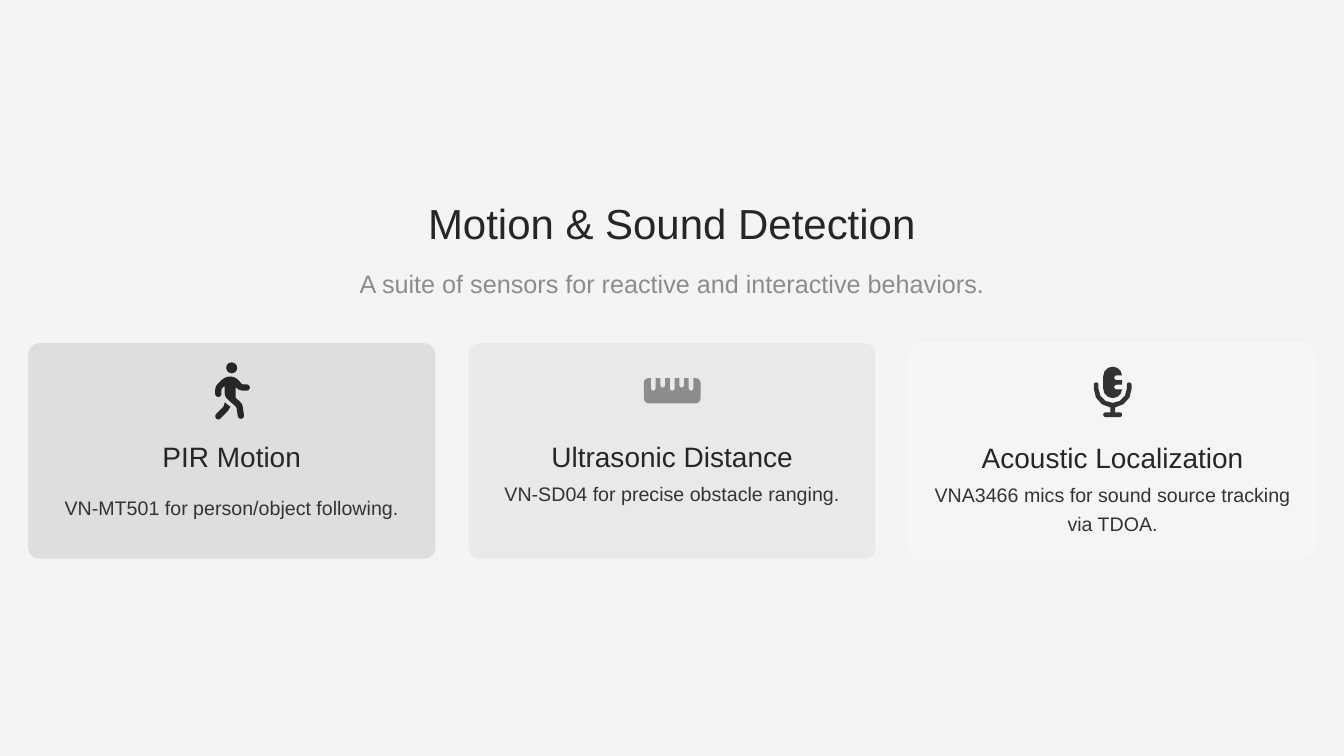
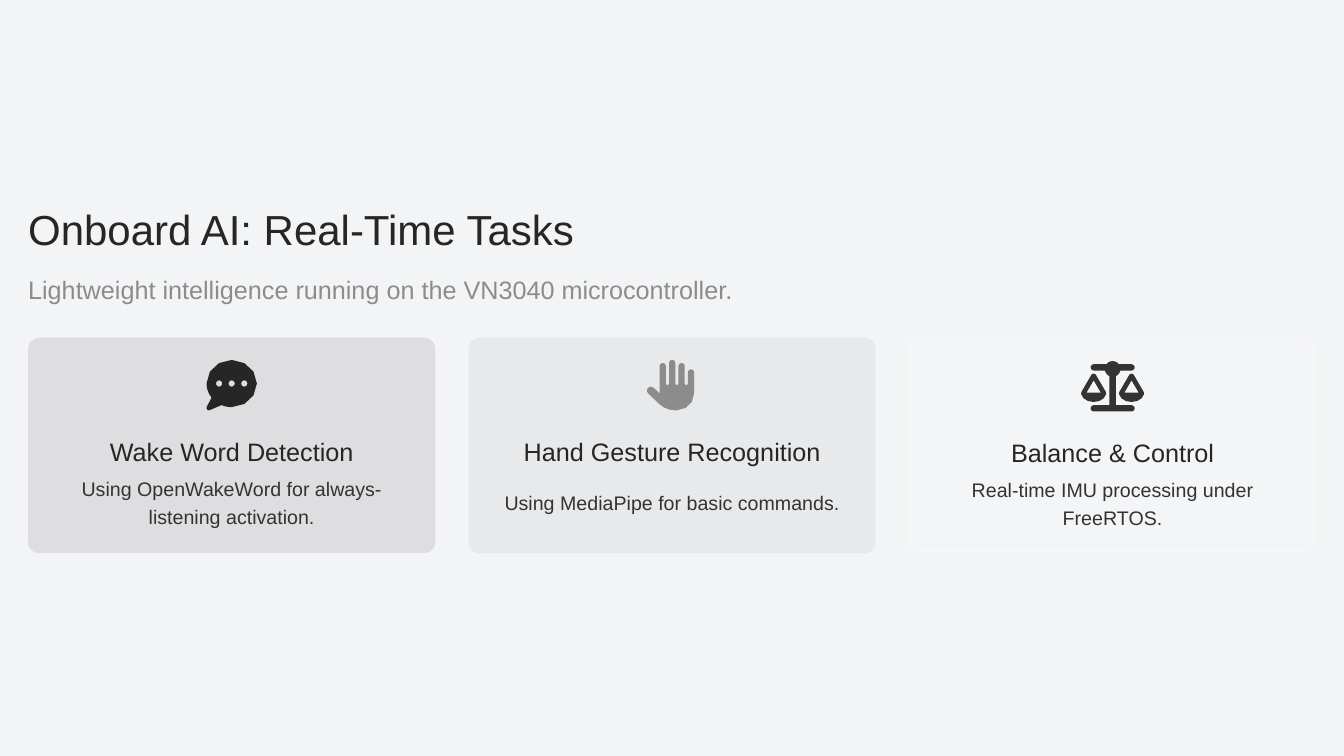
from dataclasses import dataclass

from lxml import etree
from pptx import Presentation
from pptx.dml.color import RGBColor
from pptx.enum import shapes, text
from pptx.oxml import ns
from pptx.util import Cm, Pt

# Shared style
FONT = "Arial"
PAPER = RGBColor(0xF3, 0xF4, 0xF6)
INK = RGBColor(0x26, 0x26, 0x26)
GREY = RGBColor(0x8C, 0x8C, 0x8C)
BODY = RGBColor(0x33, 0x33, 0x33)
WHITE = RGBColor(0xFF, 0xFF, 0xFF)

SLIDE_W, SLIDE_H = Cm(33.87), Cm(19.05)
MARGIN = Cm(0.71)
CARD_W, CARD_H, CARD_PITCH = Cm(10.26), Cm(5.43), Cm(11.1)
CARD_RADIUS = Cm(0.28)
ICON_H, ICON_UNITS = Cm(1.27), 512

# Icon outlines on a 512-unit grid: M/L/C absolute, l/c/s relative,
# O is a circle given by its centre and radius
RULER_SLOTS = " ".join(
    f"L {x - 24} 128 l 0 {depth} c 0 13.3 10.7 24 24 24 s 24 -10.7 24 -24 l 0 -{depth}"
    for x, depth in zip(range(96, 481, 96), (104, 72, 104, 72, 104)))


def scale_pan(center):
    """Outline of one hanging pan of the balance."""
    return (f"M {center} 416 c -62.9 0 -115.2 -34 -126 -78.9 -2.6 -11 1 -22.3 6.7 -32.1"
            " l 95.2 -163.2 c 5 -8.6 14.2 -13.8 24.1 -13.8 s 19.1 5.3 24.1 13.8"
            " l 95.2 163.2 c 5.7 9.8 9.3 21.1 6.7 32.1 -10.8 44.8 -63.1 78.9 -126 78.9 z"
            f" M {center} 195.8 l -72.4 124.2 144.9 0 z")


WALKER = (
    "O 192 24 56 M 98 228 L 120 208 120 280 C 120 308 136 332 156 350"
    " L 228 412 C 234 418 240 426 242 434 L 254 514 C 257 532 273 544 290 542"
    " C 308 539 320 523 317 506 L 305 424 C 302 400 290 379 272 364"
    " L 232 330 232 218 242 229 C 260 248 285 256 312 256 L 344 256"
    " C 362 256 376 242 376 224 C 376 206 362 192 344 192 L 312 192"
    " C 302 192 293 188 288 182 L 272 162 C 248 130 213 112 176 112"
    " C 143 112 112 125 89 148 L 55 182 C 35 200 24 225 24 250 L 24 288"
    " C 24 306 38 320 56 320 C 74 320 88 306 88 288 L 88 250 C 88 242 92 234 98 228 z"
    " M 112 408 C 110 414 107 420 103 424 L 33 494 C 21 506 21 527 33 539"
    " C 46 552 66 552 78 539 L 148 467 C 158 457 166 445 171 431 L 180 420 130 382"
    " C 127 379 125 376 122 373 z")
RULER = ("M 48 384 c -26.5 0 -48 -21.5 -48 -48 l 0 -160 c 0 -26.5 21.5 -48 48 -48 "
         + RULER_SLOTS +
         " L 528 128 c 26.5 0 48 21.5 48 48 l 0 160 c 0 26.5 -21.5 48 -48 48 z")
MICROPHONE = (
    "M 96 96 c 0 -53 43 -96 96 -96 50.3 0 91.6 38.7 95.7 88 L 232 88"
    " c -13.3 0 -24 10.7 -24 24 s 10.7 24 24 24 l 56 0 0 48 -56 0"
    " c -13.3 0 -24 10.7 -24 24 s 10.7 24 24 24 l 55.7 0"
    " c -4.1 49.3 -45.3 88 -95.7 88 -53 0 -96 -43 -96 -96 z"
    " M 24 160 c 13.3 0 24 10.7 24 24 l 0 40 c 0 79.5 64.5 144 144 144"
    " s 144 -64.5 144 -144 l 0 -40 c 0 -13.3 10.7 -24 24 -24 s 24 10.7 24 24 l 0 40"
    " c 0 97.9 -73.3 178.7 -168 190.5 l 0 49.5 48 0 c 13.3 0 24 10.7 24 24"
    " s -10.7 24 -24 24 l -144 0 c -13.3 0 -24 -10.7 -24 -24 s 10.7 -24 24 -24"
    " l 48 0 0 -49.5 C 73.3 402.7 0 321.9 0 224 l 0 -40 c 0 -13.3 10.7 -24 24 -24 z")
SPEECH = (
    "M 256 480 c 141.4 0 256 -107.5 256 -240 S 397.4 0 256 0 C 114.6 0 0 107.5 0 240"
    " c 0 54.3 19.2 104.3 51.6 144.5 L 2.8 476.8 c -4.8 9 -3.3 20 3.6 27.5"
    " s 17.8 9.8 27.1 5.8 l 118.4 -50.7 C 183.7 472.6 218.9 480 256 480 z"
    " O 128 240 32 O 256 240 32 O 384 240 32")
HAND = (
    "M 288 32 c 0 -17.7 -14.3 -32 -32 -32 s -32 14.3 -32 32 l 0 208"
    " c 0 8.8 -7.2 16 -16 16 s -16 -7.2 -16 -16 l 0 -176"
    " c 0 -17.7 -14.3 -32 -32 -32 s -32 14.3 -32 32 l 0 276 L 67.6 283"
    " c -16 -15.2 -41.3 -14.6 -56.6 1.4 s -14.6 41.3 1.4 56.6 L 124.8 448"
    " c 43.1 41.1 100.4 64 160 64 l 19.2 0 c 97.2 0 176 -78.8 176 -176 l 0 -208"
    " c 0 -17.7 -14.3 -32 -32 -32 s -32 14.3 -32 32 l 0 112"
    " c 0 8.8 -7.2 16 -16 16 s -16 -7.2 -16 -16 l 0 -176"
    " c 0 -17.7 -14.3 -32 -32 -32 s -32 14.3 -32 32 l 0 176"
    " c 0 8.8 -7.2 16 -16 16 s -16 -7.2 -16 -16 z")
BALANCE = (
    "M 384 32 l 128 0 c 17.7 0 32 14.3 32 32 s -14.3 32 -32 32 L 398.4 96"
    " c -5.2 25.8 -22.9 47.1 -46.4 57.3 l 0 294.7 160 0 c 17.7 0 32 14.3 32 32"
    " s -14.3 32 -32 32 l -384 0 c -17.7 0 -32 -14.3 -32 -32 s 14.3 -32 32 -32"
    " l 160 0 0 -294.7 c -23.5 -10.3 -41.2 -31.6 -46.4 -57.3 L 128 96"
    " c -17.7 0 -32 -14.3 -32 -32 s 14.3 -32 32 -32 l 128 0"
    " c 14.6 -19.4 37.8 -32 64 -32 s 49.4 12.6 64 32 z "
    + scale_pan(512) + " " + scale_pan(127))


@dataclass
class Card:
    heading: str
    body: str
    icon: str
    icon_units: int  # width of the icon's grid
    body_h: float = 1.42


# Look of the three columns: card tint, icon colour, outlined or not
COLUMNS = [(INK, INK, False), (GREY, GREY, False), (WHITE, BODY, True)]


def curve(p0, p1, p2, p3, steps=3):
    """Points along a cubic curve, without its start."""
    for i in range(1, steps + 1):
        t = i / steps
        weights = ((1 - t) ** 3, 3 * t * (1 - t) ** 2, 3 * t * t * (1 - t), t ** 3)
        yield tuple(sum(w * p[axis] for w, p in zip(weights, (p0, p1, p2, p3)))
                    for axis in (0, 1))


def contours(outline):
    """Turn an outline string into closed lists of points."""
    groups = []
    for token in outline.split():
        if token.isalpha():
            groups.append((token, []))
        else:
            groups[-1][1].append(float(token))
    result, pen, handle = [], (0, 0), (0, 0)
    for command, numbers in groups:
        if command == "O":
            x, y, r = numbers
            k = 0.55 * r
            result += contours(
                f"M {x - r} {y} c 0 {-k} {r - k} {-r} {r} {-r} s {r} {r - k} {r} {r}"
                f" s {k - r} {r} {-r} {r} s {-r} {k - r} {-r} {-r} z")
            continue
        size = {"C": 6, "S": 4}.get(command.upper(), 2)
        for start in range(0, len(numbers), size):
            base = pen if command.islower() else (0, 0)
            step = numbers[start:start + size]
            points = [(base[0] + x, base[1] + y) for x, y in zip(step[::2], step[1::2])]
            if command == "M":
                result.append(points)
            elif size == 2:
                result[-1] += points
            else:
                if size == 4:
                    points.insert(0, (2 * pen[0] - handle[0], 2 * pen[1] - handle[1]))
                result[-1] += curve(pen, *points)
                handle = points[1]
            pen = points[-1]
    return result


def set_alpha(color_element, percent):
    etree.SubElement(color_element, ns.qn("a:alpha")).set("val", str(percent * 1000))


def write(shape, box, words, size, color, align, spacing=1.0):
    """Place a text shape and format its single paragraph."""
    shape.left, shape.top, shape.width, shape.height = (int(v) for v in box)
    frame = shape.text_frame
    frame.auto_size = text.MSO_AUTO_SIZE.NONE
    frame.word_wrap = True
    frame.vertical_anchor = text.MSO_ANCHOR.MIDDLE
    frame.margin_left = frame.margin_right = frame.margin_top = frame.margin_bottom = 0
    frame.text = words
    line = frame.paragraphs[0]
    line.alignment, line.line_spacing = align, spacing
    line.font.name, line.font.size, line.font.color.rgb = FONT, Pt(size), color


def add_words(slide, box, *style):
    write(slide.shapes.add_textbox(0, 0, 0, 0), box, *style)


def add_header(slide, left, top, title, subtitle, align):
    width = SLIDE_W - left
    write(slide.shapes.title, (left, top, width, Cm(1.27)), title, 30, INK, align)
    add_words(slide, (left, top + Cm(1.55), width, Cm(0.99)),
              subtitle, 18, GREY, align, 1.3)


def add_icon(slide, left, top, outline, color):
    unit = ICON_H / ICON_UNITS
    loops = [[(x * unit, y * unit) for x, y in loop] for loop in contours(outline)]
    builder = slide.shapes.build_freeform(*loops[0][0])
    for i, loop in enumerate(loops):
        if i:
            builder.move_to(*loop[0])
        builder.add_line_segments(loop[1:], close=True)
    icon = builder.convert_to_shape(int(left), int(top))
    icon.shadow.inherit = False
    icon.fill.solid()
    icon.fill.fore_color.rgb = color
    icon.line.fill.background()


def add_card(slide, left, top, card, column, heading_size, heading_spacing):
    tint, icon_color, outlined = column
    inset = Cm(0.03) if outlined else 0
    width, height = CARD_W - 2 * inset, CARD_H - 2 * inset

    # Translucent panel
    panel = slide.shapes.add_shape(shapes.MSO_SHAPE.ROUNDED_RECTANGLE,
                                   left, top, width, height)
    panel.adjustments[0] = CARD_RADIUS / height
    panel.shadow.inherit = False
    panel.fill.solid()
    panel.fill.fore_color.rgb = tint
    if outlined:
        panel.line.color.rgb, panel.line.width = WHITE, Pt(0.8)
    else:
        panel.line.fill.background()
    colors = list(panel._element.spPr.iter(ns.qn("a:srgbClr")))
    for color, percent in zip(colors, (10, 50)):
        set_alpha(color, percent)

    # Icon, heading and body, moved in by the outline
    left, top = left + inset, top + inset
    icon_w = ICON_H * card.icon_units / ICON_UNITS
    add_icon(slide, left + (width - icon_w) / 2, top + Cm(0.56), card.icon, icon_color)
    center = text.PP_ALIGN.CENTER
    add_words(slide, (left, top + Cm(2.26), width, Cm(0.99)),
              card.heading, heading_size, INK, center, heading_spacing)
    padding = Cm(0.56)
    add_words(slide, (left + padding, top + Cm(3.38), width - 2 * padding, Cm(card.body_h)),
              card.body, 14, BODY, center, 1.2)


def add_card_row(slide, top, cards, heading_size, heading_spacing):
    for i, (card, column) in enumerate(zip(cards, COLUMNS)):
        add_card(slide, MARGIN + i * CARD_PITCH, top, card, column,
                 heading_size, heading_spacing)


def main():
    prs = Presentation()
    prs.slide_width, prs.slide_height = SLIDE_W, SLIDE_H
    backdrop = prs.slide_master.background.fill
    backdrop.solid()
    backdrop.fore_color.rgb = PAPER
    title_only = prs.slide_layouts[5]

    # Sensors
    sensors = prs.slides.add_slide(title_only)
    add_header(sensors, 0, Cm(4.98), "Motion & Sound Detection",
               "A suite of sensors for reactive and interactive behaviors.",
               text.PP_ALIGN.CENTER)
    add_card_row(sensors, Cm(8.65), [
        Card("PIR Motion", "VN-MT501 for person/object following.", WALKER, 384),
        Card("Ultrasonic Distance", "VN-SD04 for precise obstacle ranging.",
             RULER, 576, body_h=0.71),
        Card("Acoustic Localization", "VNA3466 mics for sound source tracking via TDOA.",
             MICROPHONE, 384),
    ], 20, 1.2)

    # Onboard tasks
    tasks = prs.slides.add_slide(title_only)
    add_header(tasks, MARGIN, Cm(5.13), "Onboard AI: Real-Time Tasks",
               "Lightweight intelligence running on the VN3040 microcontroller.",
               text.PP_ALIGN.LEFT)
    add_card_row(tasks, Cm(8.51), [
        Card("Wake Word Detection", "Using OpenWakeWord for always-listening activation.",
             SPEECH, 512),
        Card("Hand Gesture Recognition", "Using MediaPipe for basic commands.", HAND, 512),
        Card("Balance & Control", "Real-time IMU processing under FreeRTOS.", BALANCE, 640),
    ], 18, 1.3)

    prs.save("out.pptx")


if __name__ == "__main__":
    main()
